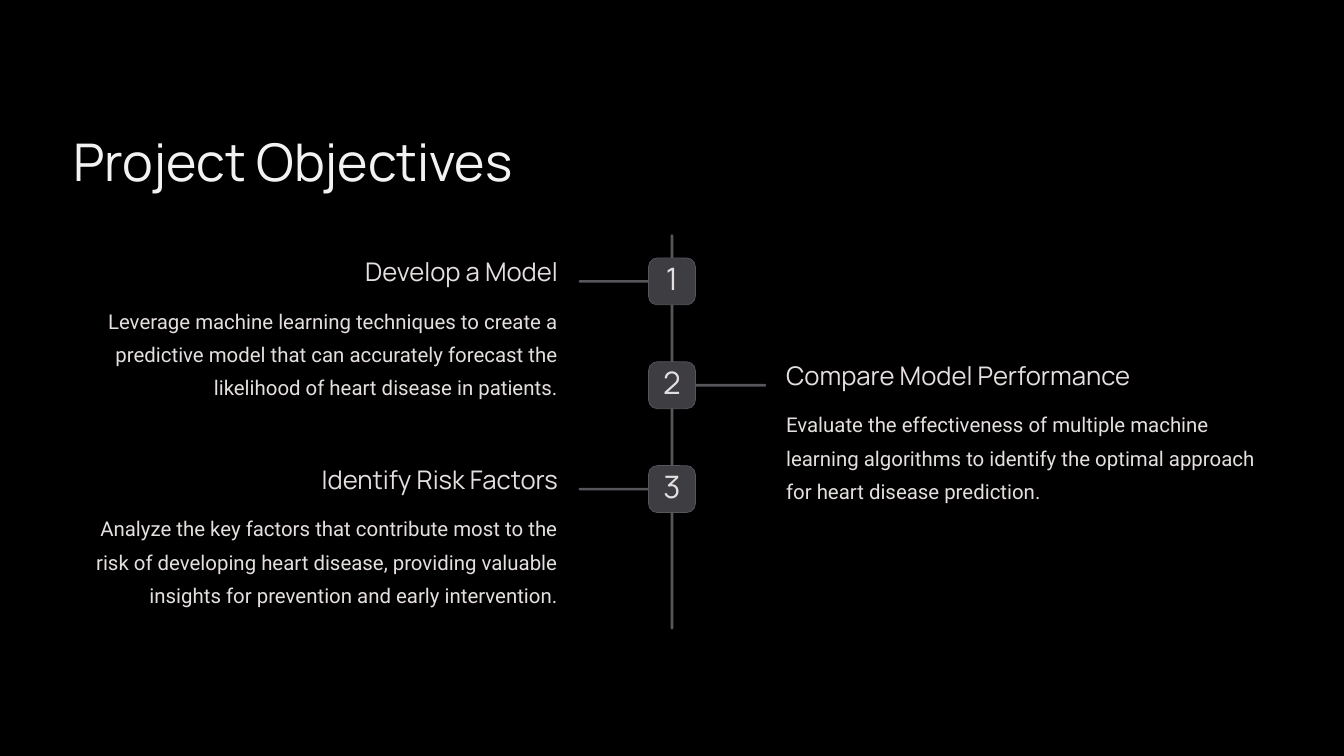
import dataclasses

import pptx
import pptx.dml.color
import pptx.enum.shapes
import pptx.enum.text
import pptx.util

Cm = pptx.util.Cm
Pt = pptx.util.Pt
ALIGN = pptx.enum.text.PP_ALIGN


@dataclasses.dataclass(frozen=True)
class TextStyle:
    """Typeface, size, line spacing and colour of one kind of text."""
    font: str
    size: float
    spacing: float
    color: str = "E5E0DF"


@dataclasses.dataclass(frozen=True)
class Theme:
    """Colours and type sizes of the slide."""
    background: str = "000000"
    rule: str = "56565B"
    tile: str = "3D3D42"
    title: TextStyle = TextStyle("Manrope", 44.5, 55.5, "F2F2F3")
    number: TextStyle = TextStyle("Manrope", 26.5, 26.5)
    heading: TextStyle = TextStyle("Manrope", 22, 27.5)
    body: TextStyle = TextStyle("Roboto", 17.5, 28.5)


def rgb(color):
    """Turn a hex string into a colour."""
    return pptx.dml.color.RGBColor.from_string(color)


class SlideBuilder:
    """Holds the theme and the current slide and adds elements to it."""

    def __init__(self, slide, theme):
        self.slide = slide
        self.theme = theme
        fill = slide.background.fill
        fill.solid()
        fill.fore_color.rgb = rgb(theme.background)

    def fill_text(self, shape, text, style, align):
        """Fill a shape with one styled paragraph."""
        frame = shape.text_frame
        frame.word_wrap = True
        frame.margin_left = frame.margin_right = 0
        frame.margin_top = frame.margin_bottom = 0
        paragraph = frame.paragraphs[0]
        paragraph.alignment = align
        paragraph.line_spacing = Pt(style.spacing)
        run = paragraph.add_run()
        run.text = text
        run.font.name = style.font
        run.font.size = Pt(style.size)
        run.font.color.rgb = rgb(style.color)

    def text(self, left, top, width, height, text, style, align=ALIGN.LEFT):
        """Add a text box."""
        shape = self.slide.shapes.add_textbox(Cm(left), Cm(top), Cm(width), Cm(height))
        self.fill_text(shape, text, style, align)

    def rounded(self, left, top, width, height, color, rounding):
        """Add a filled rounded rectangle without outline."""
        shape = self.slide.shapes.add_shape(
            pptx.enum.shapes.MSO_SHAPE.ROUNDED_RECTANGLE,
            Cm(left), Cm(top), Cm(width), Cm(height))
        shape.adjustments[0] = rounding
        shape.shadow.inherit = False
        shape.fill.solid()
        shape.fill.fore_color.rgb = rgb(color)
        shape.line.fill.background()
        return shape

    def bar(self, left, top, width, height):
        """Add a thin bar with round ends."""
        self.rounded(left, top, width, height, self.theme.rule, 0.5)

    def tile(self, left, top, size, number):
        """Add a numbered, outlined tile."""
        shape = self.rounded(left, top, size, size, self.theme.tile, 0.19)
        shape.line.color.rgb = rgb(self.theme.rule)
        shape.line.width = Pt(0.6)
        shape.text_frame.vertical_anchor = pptx.enum.text.MSO_ANCHOR.MIDDLE
        self.fill_text(shape, str(number), self.theme.number, ALIGN.CENTER)

    def objective(self, number, top, heading, body):
        """Add one step of the timeline, odd steps on the left."""
        if number % 2:
            bar_left, text_left, align = 17.5, 2.21, ALIGN.RIGHT
        else:
            bar_left, text_left, align = 20.96, 23.77, ALIGN.LEFT
        self.bar(bar_left, top + 0.67, 2.21, 0.08)
        self.tile(19.61, top, 1.42, number)
        self.text(text_left, top - 0.1, 14.66, 0.99, heading, self.theme.heading, align)
        self.text(text_left, top + 1.27, 14.66, 3.02, body, self.theme.body, align)


OBJECTIVES = [
    ("Develop a Model",
     "Leverage machine learning techniques to create a predictive model that can "
     "accurately forecast the likelihood of heart disease in patients."),
    ("Compare Model Performance",
     "Evaluate the effectiveness of multiple machine learning algorithms to identify "
     "the optimal approach for heart disease prediction."),
    ("Identify Risk Factors",
     "Analyze the key factors that contribute most to the risk of developing heart "
     "disease, providing valuable insights for prevention and early intervention."),
]


def main():
    """Build the slide and save it."""
    presentation = pptx.Presentation()
    presentation.slide_width = Cm(40.64)
    presentation.slide_height = Cm(22.86)
    slide = presentation.slides.add_slide(presentation.slide_layouts[6])
    builder = SlideBuilder(slide, Theme())
    builder.text(2.21, 3.84, 15.75, 1.98, "Project Objectives", builder.theme.title)
    builder.bar(20.28, 7.09, 0.08, 11.94)
    for index, (heading, body) in enumerate(OBJECTIVES):
        builder.objective(index + 1, 7.8 + 3.14 * index, heading, body)
    presentation.save("out.pptx")


if __name__ == "__main__":
    main()
